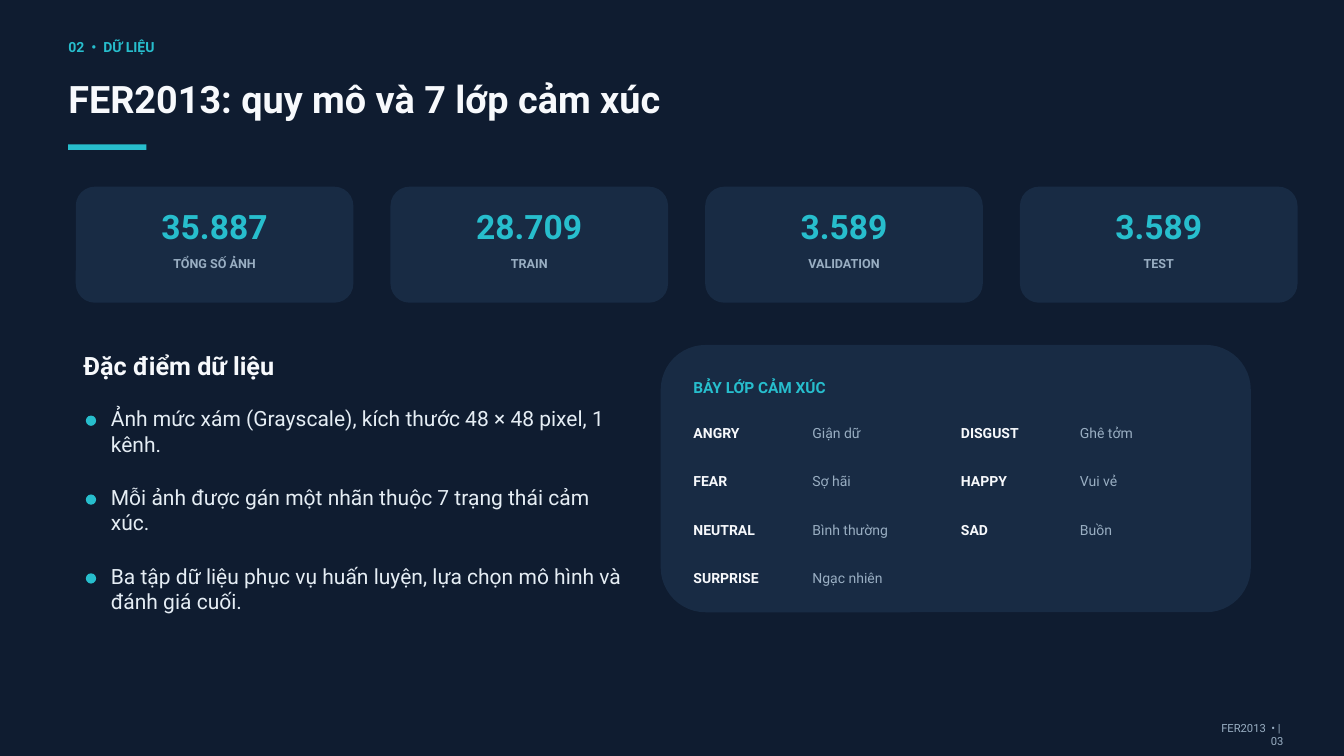
from pptx import Presentation
from pptx.dml.color import RGBColor as RGB
from pptx.enum.shapes import MSO_SHAPE as SHAPE
from pptx.enum.text import MSO_ANCHOR as ANCHOR, MSO_AUTO_SIZE as FIT, PP_ALIGN as ALIGN
from pptx.util import Pt

# Content
TITLE = "FER2013: quy mô và 7 lớp cảm xúc"
KICKER = "02  •  DỮ LIỆU"
FOOTER = "FER2013  • |  03"
STATS = [
    ("35.887", "TỔNG SỐ ẢNH"),
    ("28.709", "TRAIN"),
    ("3.589", "VALIDATION"),
    ("3.589", "TEST"),
]
HEAD = "Đặc điểm dữ liệu"
POINTS = [
    "Ảnh mức xám (Grayscale), kích thước 48 × 48 pixel, 1 kênh.",
    "Mỗi ảnh được gán một nhãn thuộc 7 trạng thái cảm xúc.",
    "Ba tập dữ liệu phục vụ huấn luyện, lựa chọn mô hình và đánh giá cuối.",
]
PANEL = "BẢY LỚP CẢM XÚC"
MOODS = [
    ("ANGRY", "Giận dữ"),
    ("DISGUST", "Ghê tởm"),
    ("FEAR", "Sợ hãi"),
    ("HAPPY", "Vui vẻ"),
    ("NEUTRAL", "Bình thường"),
    ("SAD", "Buồn"),
    ("SURPRISE", "Ngạc nhiên"),
]

FONT = "Roboto"
COLORS = {
    "back": "0F1C30",
    "card": "182B44",
    "teal": "27BECD",
    "white": "F7F9FC",
    "body": "E5EDF4",
    "mute": "99AEC2",
}


def color(name):
    return RGB.from_string(COLORS[name])


def place(item, x, y, w, h):
    item.left, item.top, item.width, item.height = Pt(x), Pt(y), Pt(w), Pt(h)


def write(box, text, size, tone, bold=False, align=ALIGN.LEFT):
    frame = box.text_frame
    frame.word_wrap = True
    frame.auto_size = FIT.NONE
    frame.vertical_anchor = ANCHOR.TOP
    frame.margin_left = frame.margin_right = 0
    frame.margin_top = frame.margin_bottom = 0
    para = frame.paragraphs[0]
    para.alignment = align
    para.line_spacing = Pt(size * 1.2)
    para.space_before = Pt(0)
    run = para.add_run()
    run.text = text
    font = run.font
    font.name, font.size, font.bold = FONT, Pt(size), bold
    font.color.rgb = color(tone)


def label(slide, x, y, w, h, *args, **style):
    box = slide.shapes.add_textbox(Pt(x), Pt(y), Pt(w), Pt(h))
    write(box, *args, **style)


def block(slide, kind, x, y, w, h, tone, round=None):
    shape = slide.shapes.add_shape(kind, Pt(x), Pt(y), Pt(w), Pt(h))
    shape.shadow.inherit = False
    shape.fill.solid()
    shape.fill.fore_color.rgb = color(tone)
    shape.line.fill.background()
    if round:
        shape.adjustments[0] = round / min(w, h)


def main():
    deck = Presentation()
    deck.slide_width, deck.slide_height = Pt(1440), Pt(810)
    slide = deck.slides.add_slide(deck.slide_layouts[5])
    slide.background.fill.solid()
    slide.background.fill.fore_color.rgb = color("back")

    # Heading and footer
    label(slide, 73.2, 41, 913, 24.5, KICKER, 15, "teal", bold=True)
    title = slide.shapes.title
    place(title, 73.2, 81.4, 1280, 64)
    write(title, TITLE, 40.5, "white", bold=True)
    block(slide, SHAPE.RECTANGLE, 72.9, 154.6, 84, 6, "teal")
    label(slide, 1295.3, 772.6, 79.9, 14.4, FOOTER, 12, "mute", align=ALIGN.RIGHT)

    # Figure cards
    wide, step = 297.4, 337.2
    for i, (value, name) in enumerate(STATS):
        x = 81.2 + i * step
        block(slide, SHAPE.ROUNDED_RECTANGLE, x, 200, wide, 124.3, "card", round=20.4)
        label(slide, x + 22, 221, wide - 44, 39.6, value, 36, "teal",
              bold=True, align=ALIGN.CENTER)
        label(slide, x + 19, 274.3, wide - 38, 18.7, name, 13.5, "mute",
              bold=True, align=ALIGN.CENTER)

    # Data traits
    label(slide, 89.3, 375.8, 318, 32.4, HEAD, 27, "white", bold=True)
    for i, text in enumerate(POINTS):
        y = 434.9 + i * 84.5
        block(slide, SHAPE.OVAL, 92, y + 10.4, 11, 11, "teal")
        label(slide, 118.8, y, 554.4, 50.4, text, 22.5, "body")

    # Emotion classes, two to a row
    block(slide, SHAPE.ROUNDED_RECTANGLE, 707.9, 369.6, 632.3, 286.4, "card", round=48)
    label(slide, 743, 404.6, 545.8, 24.5, PANEL, 16.5, "teal", bold=True)
    for i, (name, gloss) in enumerate(MOODS):
        row, col = divmod(i, 2)
        x, y = 743 + col * 286.6, 454.3 + row * 52.1
        label(slide, x, y, 147.6, 18, name, 15, "white", bold=True)
        label(slide, x + 127.4, y, 140.4, 18, gloss, 15, "mute")

    deck.save("out.pptx")


if __name__ == "__main__":
    main()
